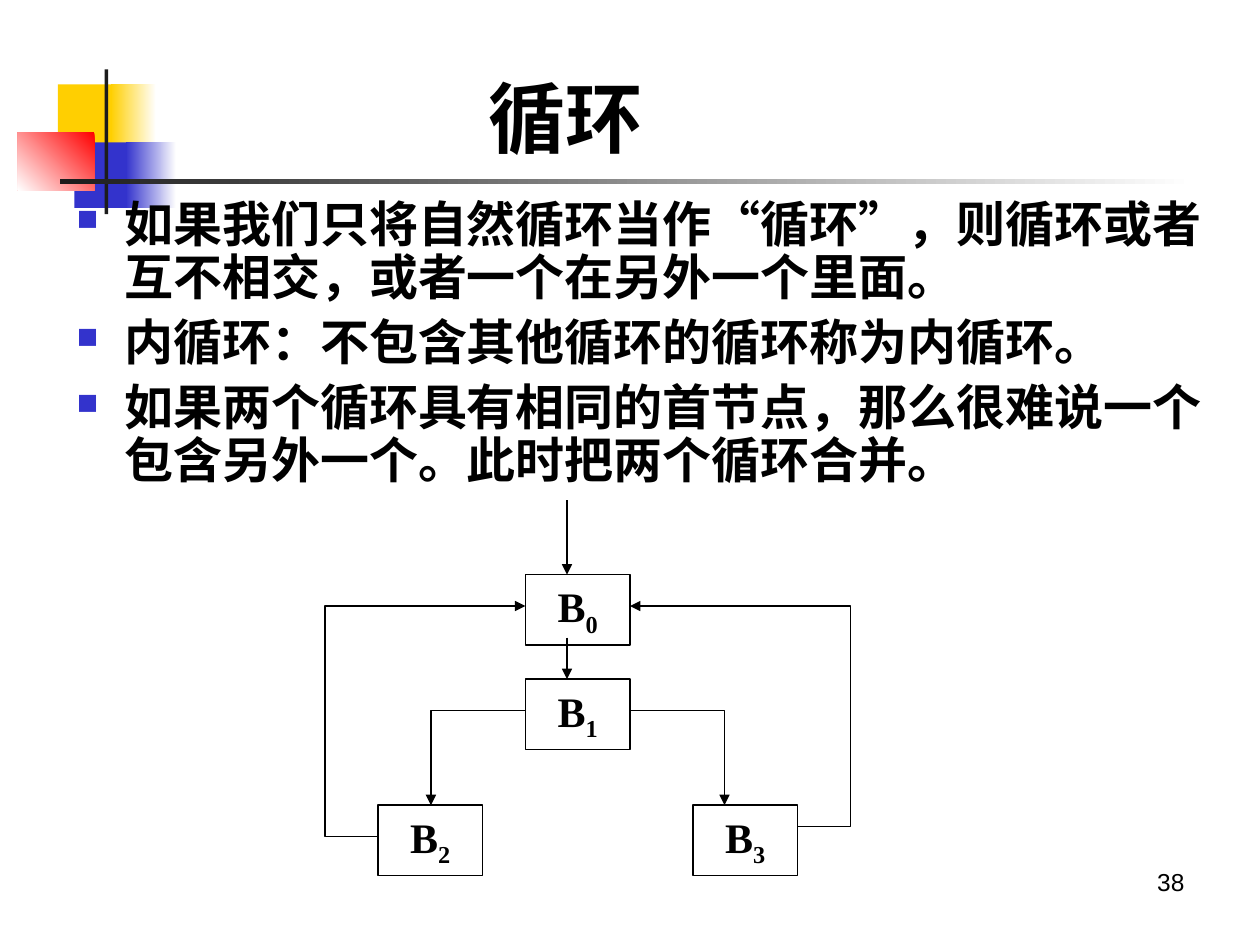
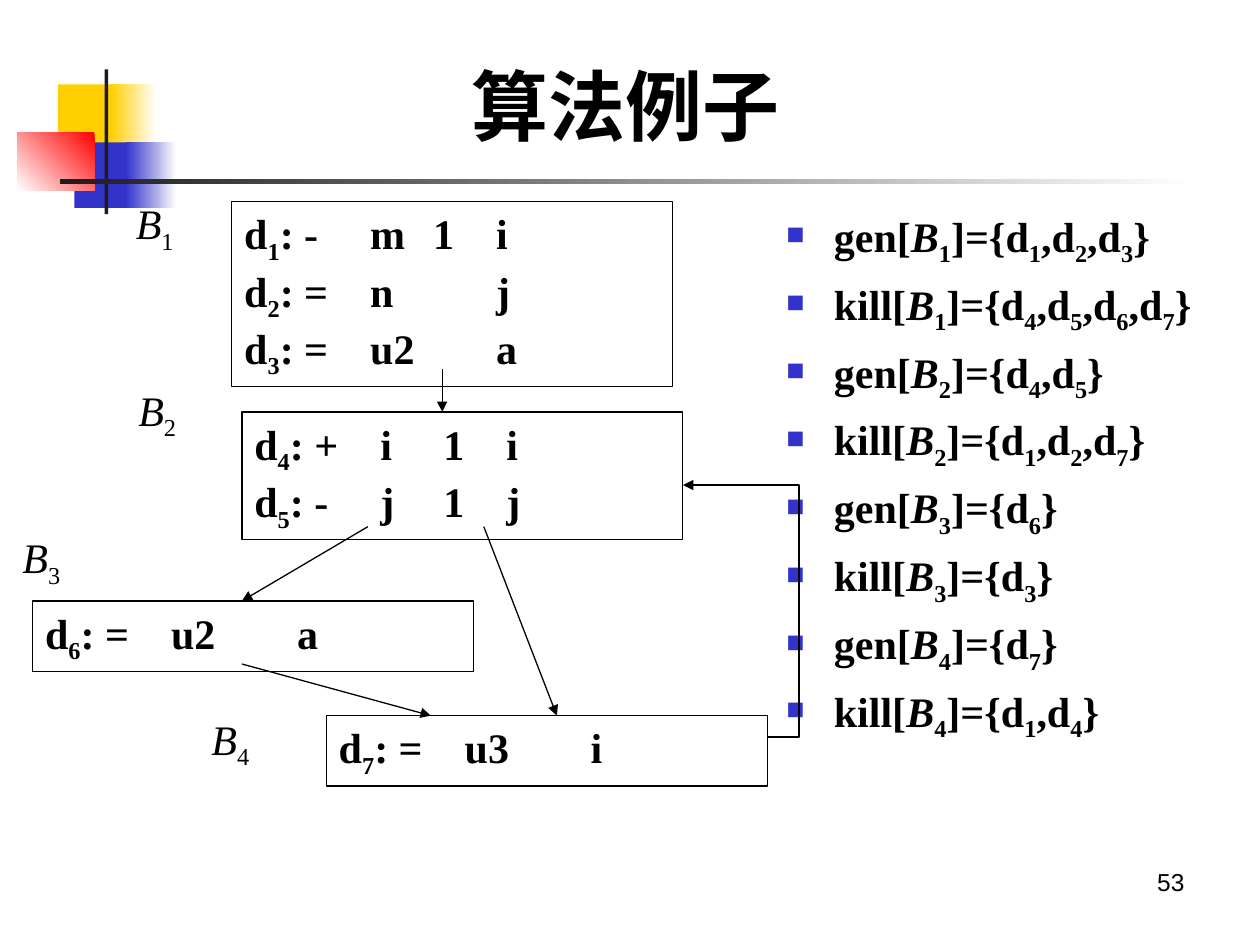
from lxml import etree
from pptx import Presentation
from pptx.dml.color import RGBColor
from pptx.enum import shapes, text
from pptx.oxml import ns
from pptx.util import Inches, Pt

COLORS = {"text": "000000", "yellow": "FFCF01", "blue": "3333CC", "red": "FF0000",
          "dark": "1C1C1C", "white": "FFFFFF"}
SERIF, BODY, NUMBER = "Times New Roman", "Roboto", "Arial"

FRAME = [
    ((0.46, 0.67, 0.48, 0.52), ("yellow",), 0),
    ((0.88, 0.67, 0.36, 0.52), ("white", "yellow"), 180),
    ((0.59, 1.13, 0.46, 0.52), ("blue",), 0),
    ((1, 1.13, 0.4, 0.52), ("white", "blue"), 180),
    ((0.14, 1.05, 0.61, 0.46), ("red", "white"), 225),
    ((0.83, 0.55, 0.03, 1.15), ("dark",), 0),
    ((0.48, 1.42, 9, 0.04), ("white", "dark"), 180),
]

# Markup: "_" lowers the next character, "~" starts italics until the next "_".
LOOPS = {
    "title": ("循环", (3.78, 0.55, 1.46, 0.76)),
    "number": "38",
    "body_at": (0.51, 1.54, 9.28, 2.52),
    "body_style": {"size": 28, "font": BODY, "before": 7, "spacing": 0.9},
    "body": [
        "如果我们只将自然循环当作“循环”，则循环或者互不相交，或者一个在另外一个里面。",
        "内循环：不包含其他循环的循环称为内循环。",
        "如果两个循环具有相同的首节点，那么很难说一个包含另外一个。此时把两个循环合并。",
    ],
    "block_size": (0.83, 0.56),
    "block_align": text.PP_ALIGN.CENTER,
    "blocks": [
        ((4.17, 4.56), ["B_0"]),
        ((4.17, 5.39), ["B_1"]),
        ((3, 6.39), ["B_2"]),
        ((5.5, 6.39), ["B_3"]),
    ],
    "labels": [],
    "arrows": [
        [(4.5, 3.97), (4.5, 4.56)],
        [(4.5, 5.06), (4.5, 5.39)],
        [(4.17, 5.64), (3.42, 5.64), (3.42, 6.39)],
        [(5, 5.64), (5.75, 5.64), (5.75, 6.39)],
        [(3, 6.64), (2.58, 6.64), (2.58, 4.81), (4.17, 4.81)],
        [(6.33, 6.56), (6.75, 6.56), (6.75, 4.81), (5, 4.81)],
    ],
}

EXAMPLE = {
    "title": ("算法例子", (3.64, 0.36, 2.85, 0.94)),
    "number": "53",
    "body_at": (6.14, 1.62, 3.74, 5.08),
    "body_style": {"size": 24, "font": SERIF, "before": 6, "spacing": 1.0},
    "body": [
        "gen[~B_1]={d_1,d_2,d_3}",
        "kill[~B_1]={d_4,d_5,d_6,d_7}",
        "gen[~B_2]={d_4,d_5}",
        "kill[~B_2]={d_1,d_2,d_7}",
        "gen[~B_3]={d_6}",
        "kill[~B_3]={d_3}",
        "gen[~B_4]={d_7}",
        "kill[~B_4]={d_1,d_4}",
    ],
    "block_size": (3.5, 0.56),
    "block_align": text.PP_ALIGN.LEFT,
    "blocks": [
        ((1.84, 1.6), ["d_1: -\tm\t1\ti", "d_2: =\tn\t\tj", "d_3: =\tu2\t\ta"]),
        ((1.92, 3.27), ["d_4: +\ti\t1\ti", "d_5: -\tj\t1\tj"]),
        ((0.26, 4.77), ["d_6: =\tu2\t\ta"]),
        ((2.59, 5.68), ["d_7: =\tu3\t\ti"]),
    ],
    "labels": [
        ((0.98, 1.52), "~B_1"),
        ((1, 3), "~B_2"),
        ((0.08, 4.17), "~B_3"),
        ((1.58, 5.61), "~B_4"),
    ],
    "arrows": [
        [(3.51, 2.93), (3.51, 3.27)],
        [(2.92, 4.18), (1.92, 4.77)],
        [(3.84, 4.18), (4.42, 5.68)],
        [(1.92, 5.27), (3.42, 5.68)],
        [(6.09, 5.85), (6.34, 5.85), (6.34, 3.85), (5.42, 3.85)],
    ],
}

LABEL_SIZE = (0.67, 0.56)
LINE_STEP = 0.455


def rgb(name):
    return RGBColor.from_string(COLORS[name])


def inches(values):
    return [Inches(v) for v in values]


def add_run(p, words, size, font=SERIF, bold=True, italic=False, lowered=False):
    if not words:
        return
    r = p.add_run()
    r.text = words
    r.font.size, r.font.name = Pt(size), font
    r.font.bold, r.font.italic = bold, italic
    r.font.color.rgb = rgb("text")
    if lowered:
        r._r.get_or_add_rPr().set("baseline", "-25000")


def add_rich(p, markup, size, font=SERIF, bold=True):
    for i, piece in enumerate(markup.split("_")):
        if i:
            add_run(p, piece[0], size, font, bold, lowered=True)
            piece = piece[1:]
        upright, _, slanted = piece.partition("~")
        add_run(p, upright, size, font, bold)
        add_run(p, slanted, size, font, bold, italic=True)


def fill_text(tf, lines, size=24, font=SERIF, bold=True, align=text.PP_ALIGN.LEFT):
    tf.word_wrap = True
    tf.auto_size = text.MSO_AUTO_SIZE.NONE
    tf.vertical_anchor = text.MSO_ANCHOR.TOP
    for i, line in enumerate(lines):
        p = tf.add_paragraph() if i else tf.paragraphs[0]
        p.alignment = align
        add_rich(p, line, size, font, bold)


def add_textbox(s, at, lines, **style):
    tf = s.shapes.add_textbox(*inches(at)).text_frame
    fill_text(tf, lines, **style)
    return tf


def add_rect(s, at):
    sp = s.shapes.add_shape(shapes.MSO_SHAPE.RECTANGLE, *inches(at))
    sp.shadow.inherit = False
    return sp


def add_frame(s):
    for at, names, angle in FRAME:
        sp = add_rect(s, at)
        sp.line.fill.background()
        if len(names) == 1:
            sp.fill.solid()
            sp.fill.fore_color.rgb = rgb(names[0])
            continue
        sp.fill.gradient()
        sp.fill.gradient_angle = angle
        for stop, name in zip(sp.fill.gradient_stops, names):
            stop.color.rgb = rgb(name)


def add_title(s, words, at):
    sp = s.shapes.title
    sp.left, sp.top, sp.width, sp.height = inches(at)
    fill_text(sp.text_frame, [words], size=44)
    sp.text_frame.vertical_anchor = text.MSO_ANCHOR.MIDDLE


def add_bullets(s, at, lines, size, font, before, spacing):
    tf = add_textbox(s, at, lines, size=size, font=font)
    for p in tf.paragraphs:
        pPr = p._p.get_or_add_pPr()
        pPr.set("marL", str(Inches(0.38)))
        pPr.set("indent", str(-Inches(0.38)))
        color = etree.SubElement(pPr, ns.qn("a:buClr"))
        etree.SubElement(color, ns.qn("a:srgbClr"), val=COLORS["blue"])
        etree.SubElement(pPr, ns.qn("a:buSzPct"), val="60000")
        etree.SubElement(pPr, ns.qn("a:buChar"), char="■")
        p.space_before = Pt(before)
        p.line_spacing = spacing


def outline(sp):
    sp.line.color.rgb = rgb("text")
    sp.line.width = Pt(0.75)


def add_block(s, place, size, lines, align):
    width, height = size
    sp = add_rect(s, (*place, width, height + LINE_STEP * (len(lines) - 1)))
    sp.fill.background()
    outline(sp)
    fill_text(sp.text_frame, lines, align=align)


def add_arrow(s, points):
    start, *rest = [inches(point) for point in points]
    if len(rest) == 1:
        sp = s.shapes.add_connector(shapes.MSO_CONNECTOR.STRAIGHT, *start, *rest[0])
    else:
        builder = s.shapes.build_freeform(*start)
        builder.add_line_segments(rest, close=False)
        sp = builder.convert_to_shape()
        sp.fill.background()
    outline(sp)
    etree.SubElement(sp.line._get_or_add_ln(), ns.qn("a:tailEnd"), type="triangle")
    if len(rest) == 1:
        etree.SubElement(sp._element.spPr, ns.qn("a:effectLst"))
    else:
        sp.shadow.inherit = False


def build_slide(prs, content):
    s = prs.slides.add_slide(prs.slide_layouts[5])
    add_frame(s)
    add_title(s, *content["title"])
    add_textbox(s, (7.17, 6.83, 2.33, 0.52), [content["number"]], size=14,
                font=NUMBER, bold=False, align=text.PP_ALIGN.RIGHT)
    add_bullets(s, content["body_at"], content["body"], **content["body_style"])
    for place, lines in content["blocks"]:
        add_block(s, place, content["block_size"], lines, content["block_align"])
    for points in content["arrows"]:
        add_arrow(s, points)
    for place, label in content["labels"]:
        add_textbox(s, (*place, *LABEL_SIZE), [label], bold=False)


def main():
    prs = Presentation()
    prs.slide_width, prs.slide_height = Inches(10), Inches(7.5)
    for content in (LOOPS, EXAMPLE):
        build_slide(prs, content)
    prs.save("out.pptx")


if __name__ == "__main__":
    main()
